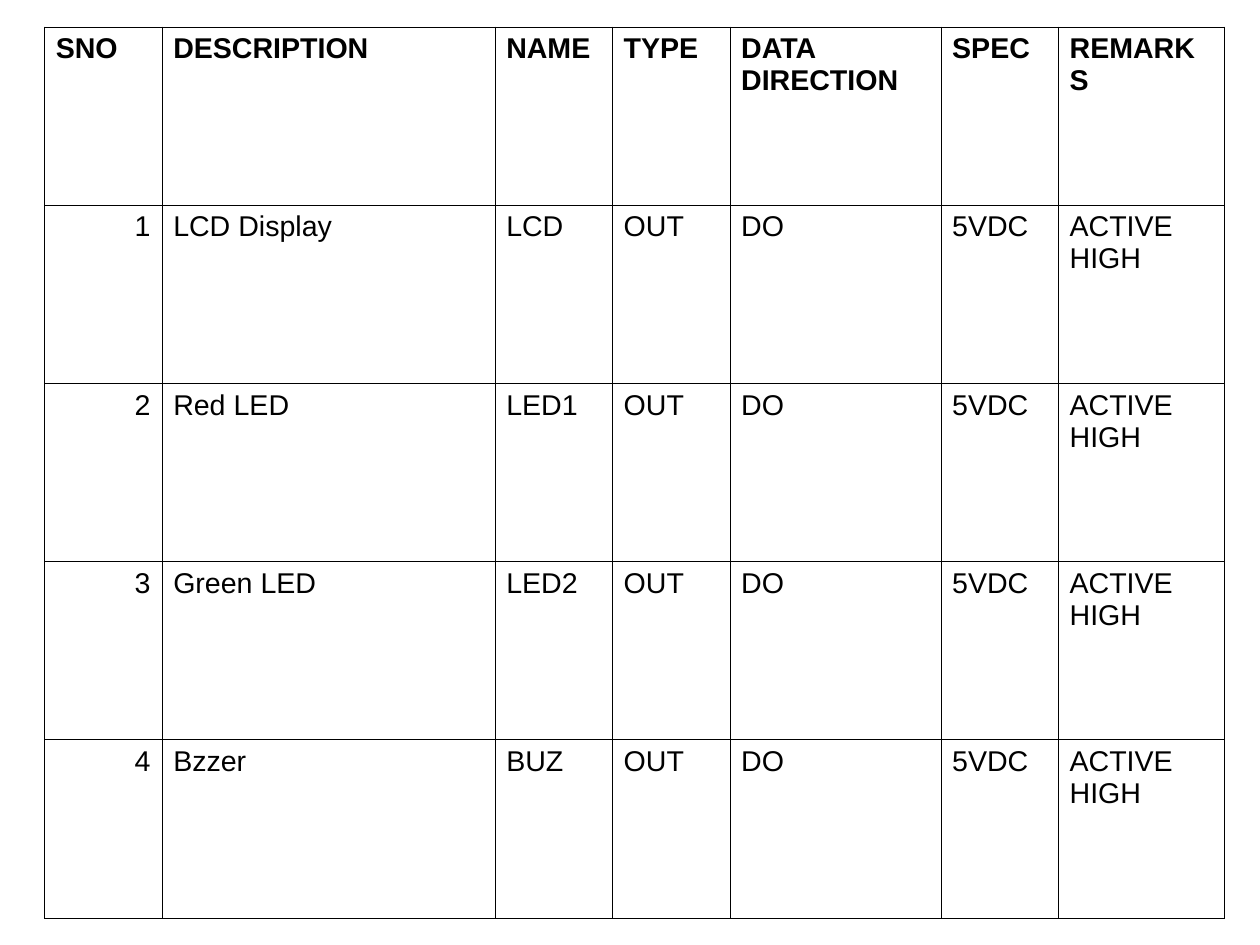
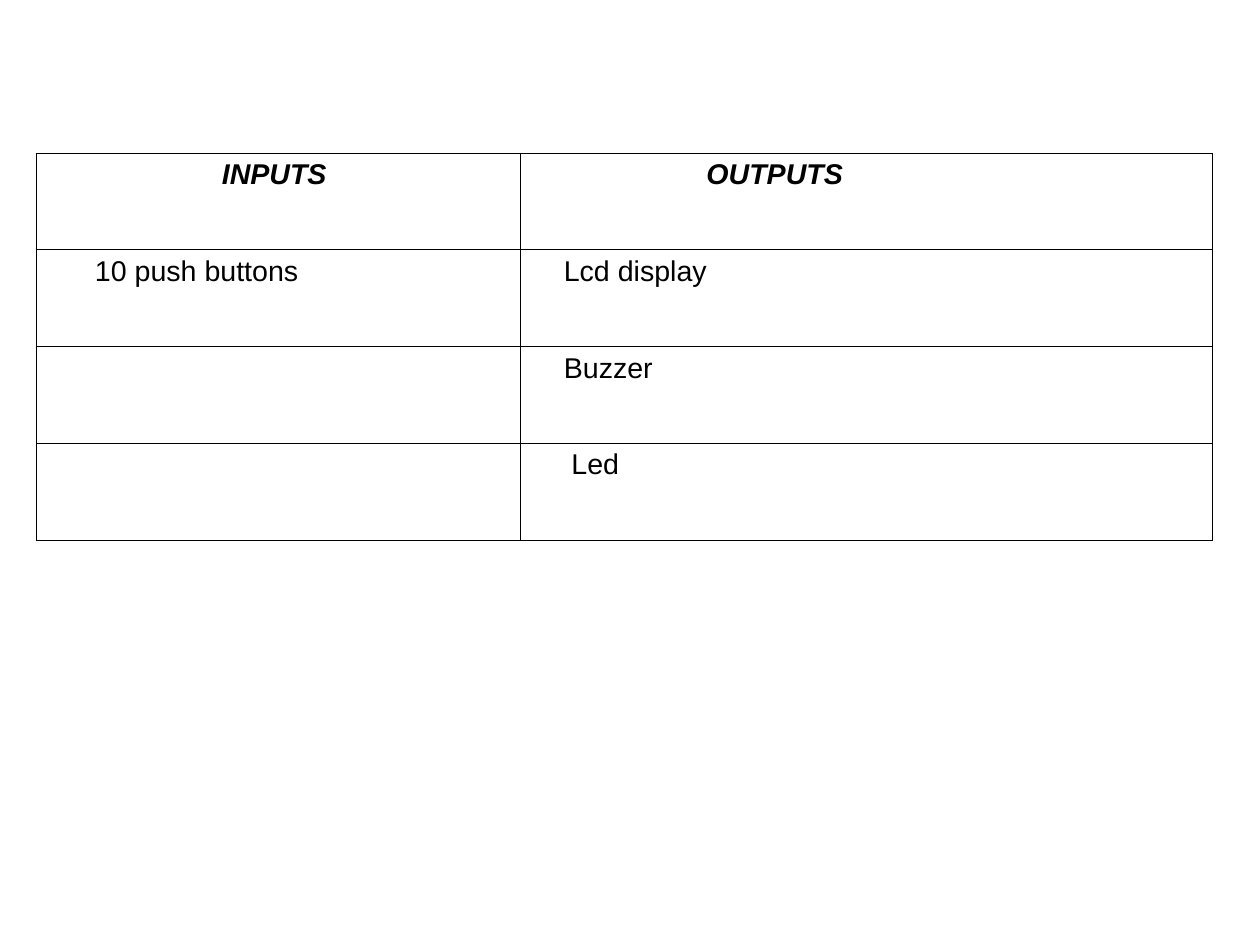
from pptx import Presentation
from pptx.dml.color import RGBColor
from pptx.enum.text import PP_ALIGN
from pptx.oxml.ns import qn
from pptx.util import Cm, Pt
from lxml.etree import SubElement

INK = "000000"
FONT = {"name": "Arial", "size": Pt(18)}
PLAIN = {"bold": False, "italic": False}
BOLD = {"bold": True, "italic": False}
BOLD_ITALIC = {"bold": True, "italic": True}
MARGIN = 0.25


def rgb(value):
    return RGBColor.from_string(value)


def add_grid(s, left, top, widths, row_height, rows, header, indents):
    frame = s.shapes.add_table(len(rows), len(widths), Cm(left), Cm(top),
                               Cm(sum(widths)), Cm(row_height * len(rows)))
    table = frame.table
    for name in ("first_row", "horz_banding"):
        setattr(table, name, False)
    for column, width in zip(table.columns, widths):
        column.width = Cm(width)
    for i, values in enumerate(rows):
        table.rows[i].height = Cm(row_height)
        for j, value in enumerate(values):
            cell = table.cell(i, j)
            tcPr = cell._tc.get_or_add_tcPr()
            for side in ("a:lnL", "a:lnR", "a:lnT", "a:lnB"):
                ln = SubElement(tcPr, qn(side), w=str(Pt(0.57)))
                fill = SubElement(ln, qn("a:solidFill"))
                SubElement(fill, qn("a:srgbClr"), val=INK)
            cell.fill.background()
            cell.margin_left = Cm(MARGIN + indents.get((i, j), 0))
            p = cell.text_frame.paragraphs[0]
            p.alignment = PP_ALIGN.RIGHT if value.isdigit() else PP_ALIGN.LEFT
            style = {**FONT, **(PLAIN if i else header)}
            for key, setting in style.items():
                setattr(p.font, key, setting)
            p.font.color.rgb = rgb(INK)
            if value:
                r = p.add_run()
                r.text = value
                for key, setting in style.items():
                    setattr(r.font, key, setting)
                r.font.color.rgb = rgb(INK)


prs = Presentation()
prs.slide_width = Cm(28)
prs.slide_height = Cm(21)
blank = prs.slide_layouts[6]

devices = [("LCD Display", "LCD"), ("Red LED", "LED1"),
           ("Green LED", "LED2"), ("Bzzer", "BUZ")]
device_rows = [("SNO", "DESCRIPTION", "NAME", "TYPE", "DATA DIRECTION", "SPEC", "REMARKS")]
for number, (description, name) in enumerate(devices, 1):
    device_rows.append((str(number), description, name, "OUT", "DO", "5VDC", "ACTIVE HIGH"))
s = prs.slides.add_slide(blank)
add_grid(s, 0.99, 0.6, [2.61, 7.4, 2.61, 2.61, 4.69, 2.61, 3.69], 3.96,
         device_rows, BOLD, {})

io_rows = [("INPUTS", "OUTPUTS"), ("10 push buttons", "Lcd display"),
           ("", "Buzzer"), ("", "Led")]
io_indents = {(0, 0): 3.88, (0, 1): 3.88, (1, 0): 1.06,
              (1, 1): 0.71, (2, 1): 0.71, (3, 1): 0.88}
s = prs.slides.add_slide(blank)
add_grid(s, 0.8, 3.4, [10.77, 15.37], 2.15, io_rows, BOLD_ITALIC, io_indents)

prs.save("out.pptx")
